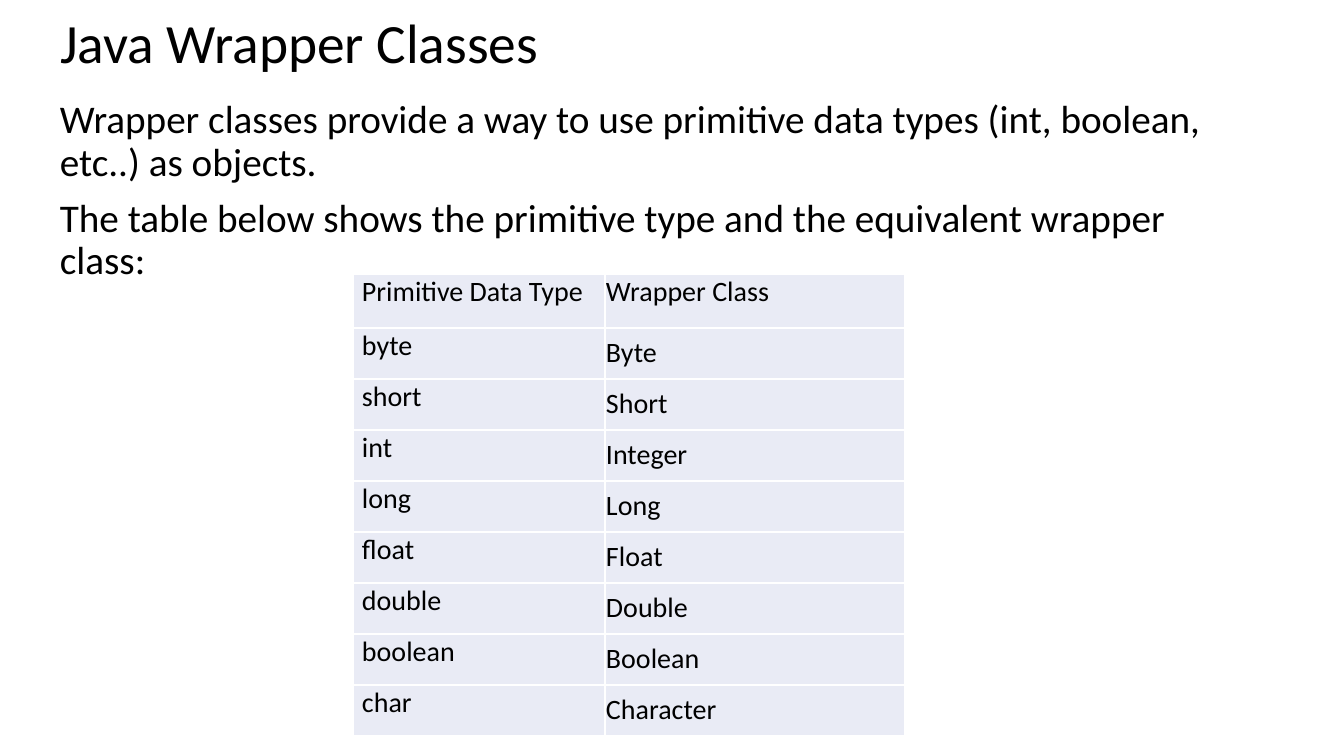
from lxml import etree
from pptx import Presentation
from pptx import util as u
from pptx.dml.color import RGBColor
from pptx.enum import text
from pptx.oxml import ns

PX = 914400 / 100.8
FONT, INK, WHITE, CELL_FILL = "Calibri", "000000", "FFFFFF", "E9EBF5"

TITLE = "Java Wrapper Classes"
INTRO = [
    "Wrapper classes provide a way to use primitive data types (int, boolean, etc..) as objects.",
    "The table below shows the primitive type and the equivalent wrapper class:",
]
TYPES = [
    ("Primitive Data Type", "Wrapper Class"),
    ("byte", "Byte"),
    ("short", "Short"),
    ("int", "Integer"),
    ("long", "Long"),
    ("float", "Float"),
    ("double", "Double"),
    ("boolean", "Boolean"),
    ("char", "Character"),
]


def px(length):
    return u.Emu(round(length * PX))


def color(value):
    return RGBColor.from_string(value)


def apply(target, formats):
    for name, value in formats.items():
        setattr(target, name, value)


def place(shape, box):
    apply(shape, dict(zip(("left", "top", "width", "height"), map(px, box))))


def write(para, words, size, **formats):
    """Put words into a paragraph with the slide's font and the given spacing."""
    apply(para, {"alignment": text.PP_ALIGN.LEFT, **formats})
    span = para.add_run()
    span.text = words
    apply(span.font, {"name": FONT, "size": u.Pt(size)})
    span.font.color.rgb = color(INK)


def add_title(page, box):
    title = page.shapes.title
    place(title, box)
    apply(title.text_frame, {
        "word_wrap": True,
        "auto_size": text.MSO_AUTO_SIZE.NONE,
        "vertical_anchor": text.MSO_ANCHOR.MIDDLE,
    })
    write(title.text_frame.paragraphs[0], TITLE, 39.6, line_spacing=0.9)


def add_intro(page, box):
    frame = page.shapes.add_textbox(*map(px, box)).text_frame
    frame.word_wrap = True
    for index, words in enumerate(INTRO):
        para = frame.add_paragraph() if index else frame.paragraphs[0]
        write(para, words, 28, line_spacing=0.9, space_before=u.Pt(10))


def add_borders(cell):
    properties = cell._tc.get_or_add_tcPr()
    for index, side in enumerate(("lnL", "lnR", "lnT", "lnB")):
        line = etree.Element(ns.qn(f"a:{side}"), w=str(u.Pt(1)))
        fill = etree.SubElement(line, ns.qn("a:solidFill"))
        etree.SubElement(fill, ns.qn("a:srgbClr"), val=WHITE)
        properties.insert(index, line)


def add_type_table(page, box):
    """Fill the box with the table; the header row is slightly taller."""
    left, top, width, height = box
    first_column, header = 252, 54
    table = page.shapes.add_table(len(TYPES), 2, *map(px, box)).table
    apply(table, {"first_row": False, "horz_banding": False})
    for column, size in zip(table.columns, (first_column, width - first_column)):
        column.width = px(size)
    body_row = (height - header) / (len(TYPES) - 1)
    for r, names in enumerate(TYPES):
        table.rows[r].height = px(body_row if r else header)
        for c, name in enumerate(names):
            cell = table.cell(r, c)
            padded = r > 0 and c == 1
            apply(cell, {
                "margin_left": px(1 if c else 9),
                "margin_right": px(1),
                "margin_top": px(8 if padded else 1),
                "margin_bottom": px(8 if padded else 0),
                "vertical_anchor": text.MSO_ANCHOR.TOP,
            })
            cell.fill.solid()
            cell.fill.fore_color.rgb = color(CELL_FILL)
            add_borders(cell)
            write(cell.text_frame.paragraphs[0], name, 20)


def main():
    deck = Presentation()
    apply(deck, {"slide_width": px(1344), "slide_height": px(756)})
    page = deck.slides.add_slide(deck.slide_layouts.get_by_name("Title Only"))
    add_title(page, (50, 17, 1159, 58))
    add_intro(page, (50, 95, 1202, 586))
    add_type_table(page, (353, 274, 552, 462))
    deck.save("out.pptx")


if __name__ == "__main__":
    main()
